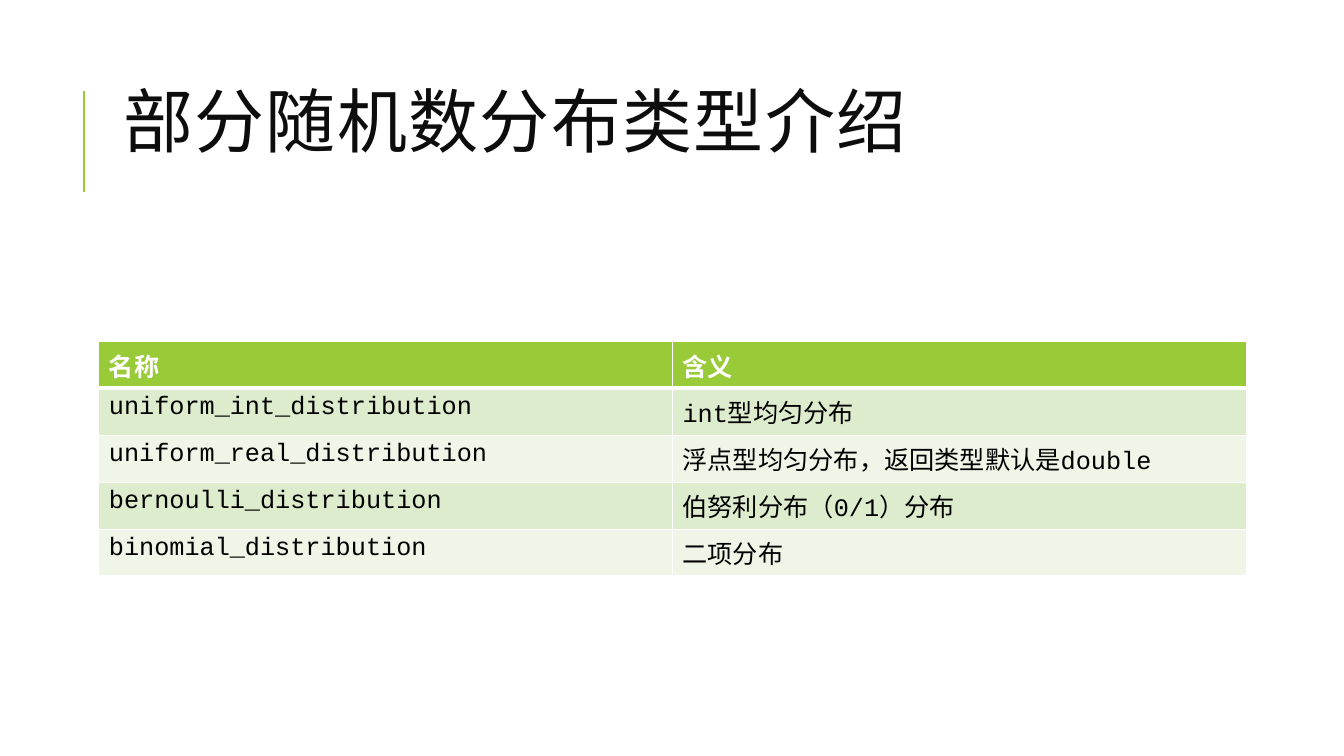
from typing import NamedTuple

from lxml import etree
from pptx import Presentation
from pptx.dml.color import RGBColor
from pptx.enum.shapes import MSO_CONNECTOR as CONNECTOR
from pptx.enum.text import MSO_ANCHOR as ANCHOR, MSO_AUTO_SIZE as AUTO_SIZE, PP_ALIGN as ALIGN
from pptx.oxml.ns import qn
from pptx.util import Inches, Pt

GREEN, WHITE, BLACK, TITLE_INK = "99CB38", "FFFFFF", "000000", "0D0D0D"
BANDS = ("DEECCE", "EFF6E8")


class Distribution(NamedTuple):
    name: str
    meaning: str


HEADER = Distribution("名称", "含义")
DISTRIBUTIONS = [
    Distribution("uniform_int_distribution", "int型均匀分布"),
    Distribution("uniform_real_distribution", "浮点型均匀分布，返回类型默认是double"),
    Distribution("bernoulli_distribution", "伯努利分布（0/1）分布"),
    Distribution("binomial_distribution", "二项分布"),
]


def rgb(value: str) -> RGBColor:
    return RGBColor.from_string(value)


def format_run(r, font: str, size: float, color: str, bold: bool = False) -> None:
    r.font.name = font
    r.font.size = Pt(size)
    r.font.bold = bold
    r.font.color.rgb = rgb(color)


def add_title(s, text: str) -> None:
    title = s.shapes.title
    title.left, title.top = Inches(1.12), Inches(0.64)
    title.width, title.height = Inches(10.63), Inches(1.25)
    tf = title.text_frame
    tf.text = text
    tf.word_wrap = True
    tf.auto_size = AUTO_SIZE.NONE
    tf.vertical_anchor = ANCHOR.MIDDLE
    p = tf.paragraphs[0]
    p.alignment = ALIGN.LEFT
    p.line_spacing = 0.8
    r = p.runs[0]
    format_run(r, "Calibri", 50, TITLE_INK)
    r.font._element.set("spc", "100")


def add_accent_line(s) -> None:
    line = s.shapes.add_connector(
        CONNECTOR.STRAIGHT, Inches(0.83), Inches(1.9), Inches(0.83), Inches(0.9))
    line.line.color.rgb = rgb(GREEN)
    line.line.width = Pt(1.5)
    etree.SubElement(line._element.spPr, qn("a:effectLst"))


def set_borders(cell, top: float, bottom: float) -> None:
    """Give the cell white borders; widths are in points."""
    tc_pr = cell._tc.get_or_add_tcPr()
    for side, width in (("L", 1), ("R", 1), ("T", top), ("B", bottom)):
        ln = etree.SubElement(tc_pr, qn(f"a:ln{side}"), w=str(Pt(width)))
        fill = etree.SubElement(ln, qn("a:solidFill"))
        etree.SubElement(fill, qn("a:srgbClr"), val=WHITE)


def add_distribution_table(s) -> None:
    rows = [HEADER, *DISTRIBUTIONS]
    table = s.shapes.add_table(
        len(rows), len(HEADER), Inches(0.98), Inches(3.39),
        Inches(11.38), Inches(0.42 * len(rows))).table
    for i, row in enumerate(rows):
        is_header = i == 0
        for j, text in enumerate(row):
            cell = table.cell(i, j)
            set_borders(cell, top=3 if i == 1 else 1, bottom=3 if is_header else 1)
            cell.fill.solid()
            cell.fill.fore_color.rgb = rgb(GREEN if is_header else BANDS[(i - 1) % 2])
            cell.text_frame.text = text
            format_run(cell.text_frame.paragraphs[0].runs[0], "Courier New", 18,
                       WHITE if is_header else BLACK, bold=is_header)


def main() -> None:
    prs = Presentation()
    prs.slide_width, prs.slide_height = Inches(13.33), Inches(7.5)
    s = prs.slides.add_slide(prs.slide_layouts[5])
    add_accent_line(s)
    add_title(s, "部分随机数分布类型介绍")
    add_distribution_table(s)
    prs.save("out.pptx")


if __name__ == "__main__":
    main()
